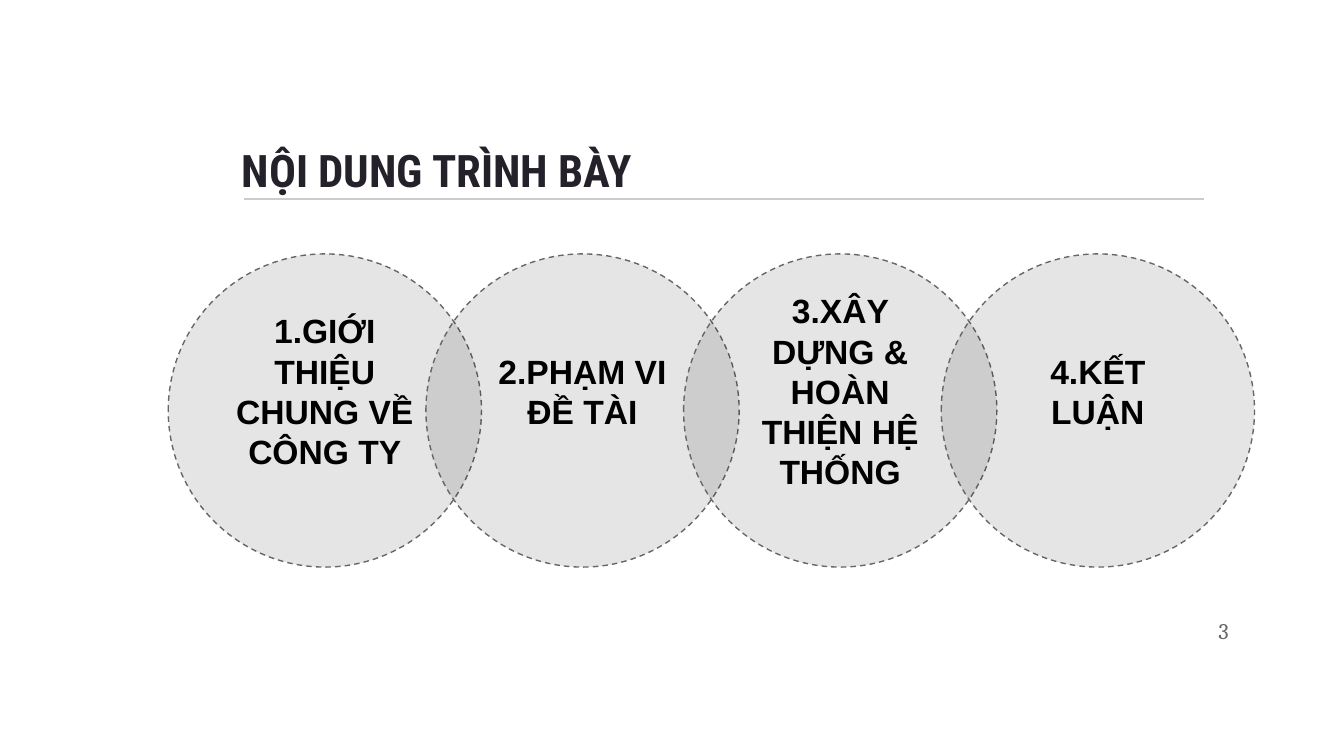
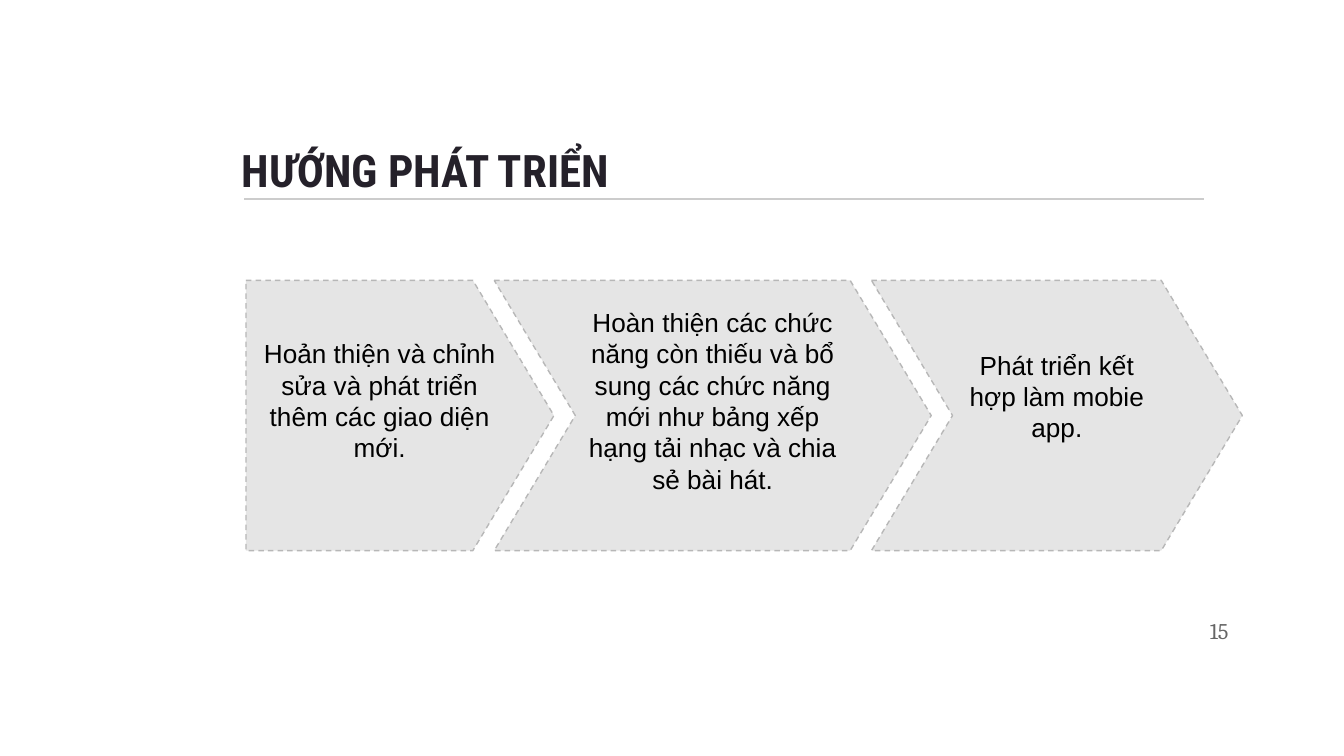
from lxml import etree
from pptx import Presentation
from pptx.dml.color import RGBColor
from pptx.enum.dml import MSO_LINE
from pptx.enum.shapes import MSO_CONNECTOR, MSO_SHAPE
from pptx.enum.text import MSO_ANCHOR, PP_ALIGN
from pptx.oxml.ns import qn
from pptx.util import Cm, Pt

STRAIGHT = MSO_CONNECTOR.STRAIGHT
CIRCLE, PENTAGON, CHEVRON = MSO_SHAPE.OVAL, MSO_SHAPE.PENTAGON, MSO_SHAPE.CHEVRON
DASH = MSO_LINE.DASH
MIDDLE, BOTTOM = MSO_ANCHOR.MIDDLE, MSO_ANCHOR.BOTTOM
LEFT, CENTER, RIGHT = PP_ALIGN.LEFT, PP_ALIGN.CENTER, PP_ALIGN.RIGHT

COLORS = {
    "paper": "FFFFFF",
    "title": "25212A",
    "rule": "CCCCCC",
    "ink": "000000",
    "grey": "666666",
    "silver": "B7B7B7",
}
TITLE_FONT, BODY_FONT, NUMBER_FONT = "Roboto Condensed", "Arial", "Cambria"
INSET = 0.25
FILL_OPACITY = 10

TOPICS = [
    "1.GIỚI THIỆU CHUNG VỀ CÔNG TY",
    "2.PHẠM VI ĐỀ TÀI",
    "3.XÂY DỰNG & HOÀN THIỆN HỆ THỐNG",
    "4.KẾT LUẬN",
]
STEPS = [
    (PENTAGON, 5.82, 0.57, "Hoản thiện và chỉnh sửa và phát triển thêm các giao diện mới."),
    (CHEVRON, 8.26, 0.57, "Hoàn thiện các chức năng còn thiếu và bổ sung các chức năng "
                          "mới như bảng xếp hạng tải nhạc và chia sẻ bài hát."),
    (CHEVRON, 7.01, 0.74, "Phát triển kết hợp làm mobie app."),
]


def color(name):
    return RGBColor.from_string(COLORS[name])


class Builder:
    def __init__(self, deck):
        self.deck = deck
        self.page = None

    def new_page(self, title, number):
        self.page = self.deck.slides.add_slide(self.deck.slide_layouts[6])
        background = self.page.background.fill
        background.solid()
        background.fore_color.rgb = color("paper")
        self.rule(4.62, 22.76, 3.76)
        self.label((4.32, 2.01, 18.39, 1.96), title, TITLE_FONT, 24, "title",
                   LEFT, BOTTOM, bold=True)
        self.label((21.95, 11.38, 1.52, 1.09), number, NUMBER_FONT, 12, "grey",
                   RIGHT, MIDDLE)

    def rule(self, start, end, top):
        line = self.page.shapes.add_connector(
            STRAIGHT, Cm(start), Cm(top), Cm(end), Cm(top))
        line.line.color.rgb = color("rule")
        line.line.width = Pt(0.75)
        etree.SubElement(line._element.spPr, qn("a:effectLst"))

    def label(self, place, text, font, size, ink, align, anchor, bold=False):
        box = self.page.shapes.add_textbox(*map(Cm, place))
        self.set_text(box, text, font, size, ink, align, anchor, bold)

    def panel(self, kind, place, text, size, outline, lift, bold=False, point=None):
        shape = self.page.shapes.add_shape(kind, *map(Cm, place))
        shape.shadow.inherit = False
        if point is not None:
            shape.adjustments[0] = point
        shape.fill.solid()
        shape.fill.fore_color.rgb = color("ink")
        tint = shape._element.spPr.find(qn("a:solidFill"))[0]
        etree.SubElement(tint, qn("a:alpha"), val=str(FILL_OPACITY * 1000))
        shape.line.color.rgb = color(outline)
        shape.line.width = Pt(0.75)
        shape.line.dash_style = DASH
        self.set_text(shape, text, BODY_FONT, size, "ink", CENTER, MIDDLE, bold, lift)

    def set_text(self, box, text, font, size, ink, align, anchor, bold, lift=0):
        frame = box.text_frame
        frame.text = text
        frame.word_wrap = True
        frame.vertical_anchor = anchor
        frame.margin_left = frame.margin_right = frame.margin_top = Cm(INSET)
        frame.margin_bottom = Cm(INSET + lift)
        para = frame.paragraphs[0]
        para.alignment = align
        for span in para.runs:
            span.font.name = font
            span.font.size = Pt(size)
            span.font.bold = bold
            span.font.color.rgb = color(ink)


def contents(builder):
    builder.new_page("NỘI DUNG TRÌNH BÀY", "3")
    diameter, spacing = 5.92, 4.87
    for index, topic in enumerate(TOPICS):
        place = (3.18 + index * spacing, 4.8, diameter, diameter)
        builder.panel(CIRCLE, place, topic, 18, "grey", 0.74, bold=True)


def outlook(builder):
    builder.new_page("HƯỚNG PHÁT TRIỂN", "15")
    left, overlap = 4.65, 1.13
    for kind, width, lift, text in STEPS:
        builder.panel(kind, (left, 5.3, width, 5.11), text, 14, "silver", lift, point=0.3)
        left += width - overlap


def main():
    deck = Presentation()
    deck.slide_width, deck.slide_height = Cm(25.4), Cm(14.29)
    builder = Builder(deck)
    contents(builder)
    outlook(builder)
    deck.save("out.pptx")


if __name__ == "__main__":
    main()
